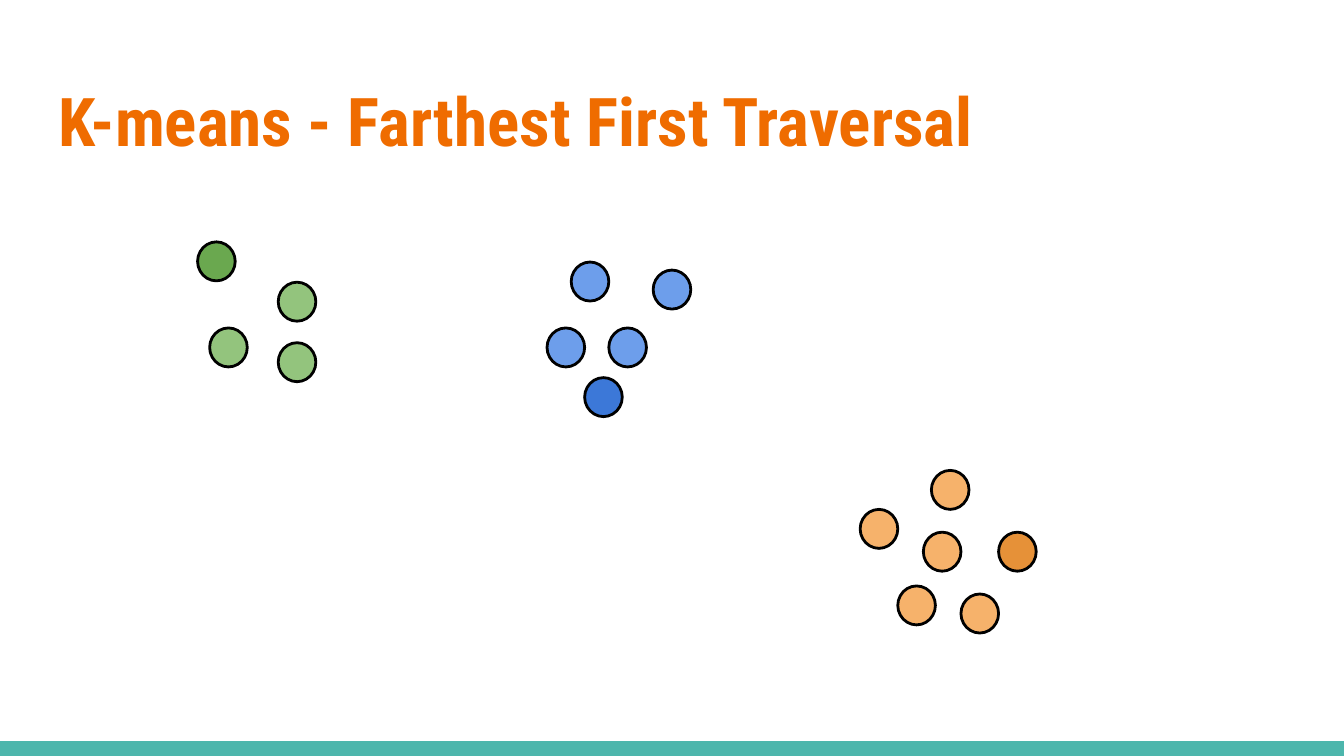
from pptx import Presentation
from pptx.dml.color import RGBColor
from pptx.enum import shapes, text
from pptx.util import Inches, Pt

TITLE = "K-means - Farthest First Traversal"
FONT = "Roboto Condensed"
COLORS = {
    "title": "EF6C00",
    "footer": "4DB6AC",
    "outline": "000000",
    "green": "93C47D",
    "dark green": "6AA84F",
    "blue": "6D9EEB",
    "dark blue": "3C78D8",
    "orange": "F6B26B",
    "dark orange": "E69138",
}
# Left and top of each point; the center of a cluster takes the dark color.
CLUSTERS = [
    {"color": "green", "center": (1.47, 1.8),
     "points": [(2.07, 2.1), (1.56, 2.44), (2.07, 2.55)]},
    {"color": "blue", "center": (4.35, 2.81),
     "points": [(4.25, 1.95), (4.07, 2.44), (4.86, 2.01), (4.53, 2.44)]},
    {"color": "orange", "center": (7.43, 3.96),
     "points": [(7.15, 4.42), (6.68, 4.36), (6.87, 3.96), (6.93, 3.5), (6.4, 3.79)]},
]
SLIDE_WIDTH = 10
SLIDE_HEIGHT = SLIDE_WIDTH * 9 / 16
FOOTER_HEIGHT = 0.11
POINT_SIZE = (0.28, 0.29)


def rgb(name):
    return RGBColor.from_string(COLORS[name])


def add_filled(slide, kind, box, color):
    shape = slide.shapes.add_shape(kind, *map(Inches, box))
    shape.shadow.inherit = False
    shape.fill.solid()
    shape.fill.fore_color.rgb = rgb(color)
    shape.line.fill.background()
    return shape


def add_point(slide, position, color):
    point = add_filled(slide, shapes.MSO_SHAPE.OVAL, position + POINT_SIZE, color)
    point.line.color.rgb = rgb("outline")
    point.line.width = Pt(1.5)


def add_title(slide):
    box = slide.shapes.add_textbox(*map(Inches, (0.34, 0.49, 9.32, 0.77)))
    frame = box.text_frame
    frame.word_wrap = True
    frame.vertical_anchor = text.MSO_ANCHOR.TOP
    frame.margin_left = frame.margin_right = Inches(0.1)
    frame.margin_top = frame.margin_bottom = Inches(0.1)
    paragraph = frame.paragraphs[0]
    paragraph.text = TITLE
    paragraph.font.name = FONT
    paragraph.font.size = Pt(36)
    paragraph.font.bold = True
    paragraph.font.color.rgb = rgb("title")


def main():
    presentation = Presentation()
    presentation.slide_width = Inches(SLIDE_WIDTH)
    presentation.slide_height = Inches(SLIDE_HEIGHT)
    slide = presentation.slides.add_slide(presentation.slide_layouts[6])
    footer = (0, SLIDE_HEIGHT - FOOTER_HEIGHT, SLIDE_WIDTH, FOOTER_HEIGHT)
    add_filled(slide, shapes.MSO_SHAPE.RECTANGLE, footer, "footer")
    add_title(slide)
    for cluster in CLUSTERS:
        add_point(slide, cluster["center"], "dark " + cluster["color"])
        for position in cluster["points"]:
            add_point(slide, position, cluster["color"])
    presentation.save("out.pptx")


if __name__ == "__main__":
    main()
